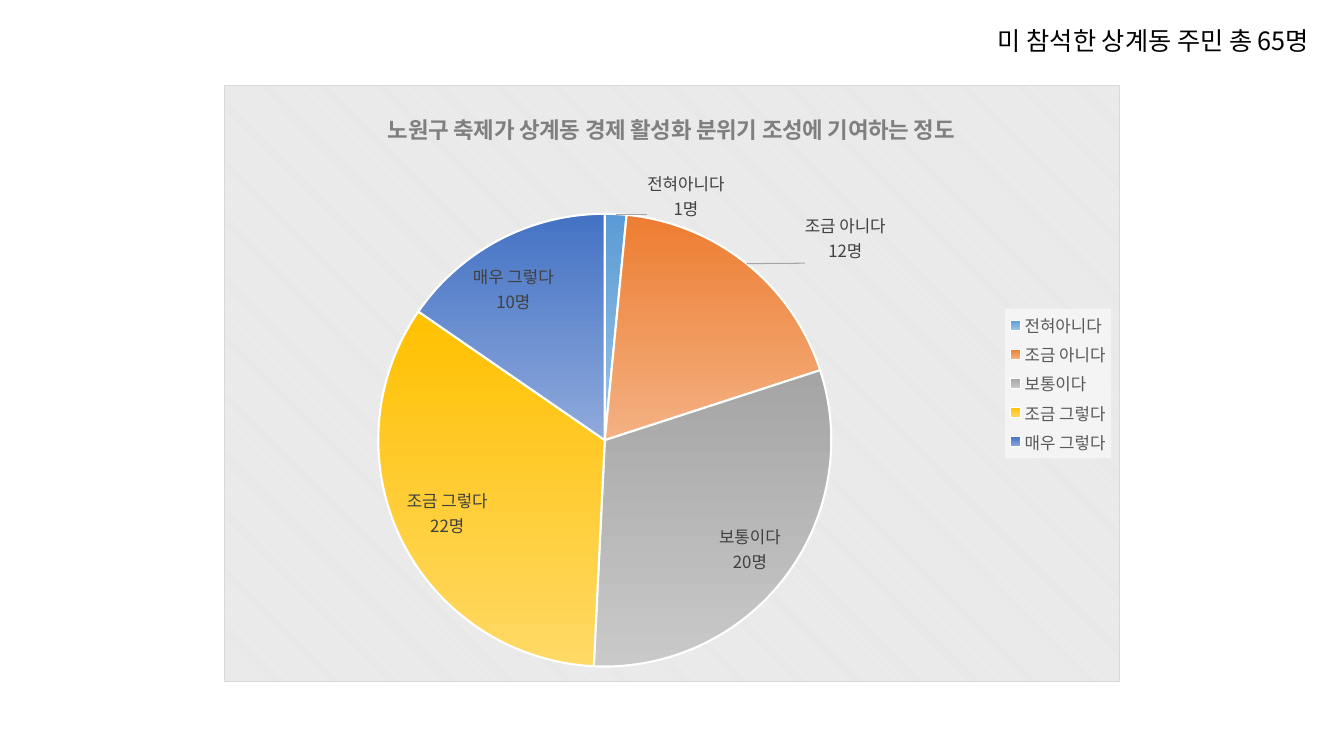
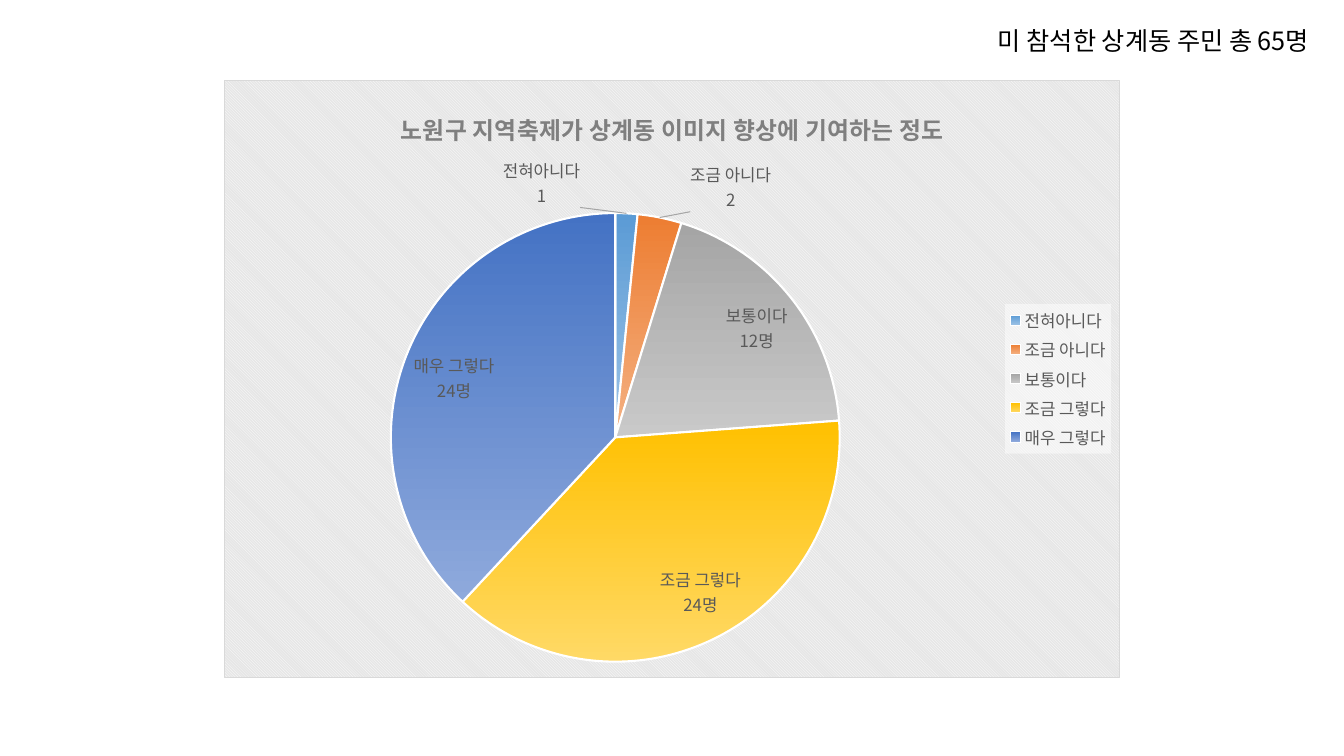
from pptx import Presentation
from pptx.chart.data import CategoryChartData
from pptx.dml.color import RGBColor
from pptx.enum.chart import XL_CHART_TYPE, XL_LABEL_POSITION, XL_LEGEND_POSITION
from pptx.enum.text import MSO_ANCHOR, MSO_AUTO_SIZE, PP_ALIGN
from pptx.oxml import parse_xml
from pptx.oxml.ns import nsdecls, qn
from pptx.util import Pt

FONT = "Noto Sans CJK KR"
NOTE = "미 참석한 상계동 주민 총 65명"
GRAY = "595959"
WIDE, HIGH = 640, 427
LEVELS = ["전혀아니다", "조금 아니다", "보통이다", "조금 그렇다", "매우 그렇다"]
SHADES = [
    ("5B9BD5", "9DC3E6"),
    ("ED7D31", "F4B183"),
    ("A5A5A5", "C9C9C9"),
    ("FFC000", "FFD966"),
    ("4472C4", "8FAADC"),
]
PAGES = [
    dict(
        head="노원구 축제가 상계동 경제 활성화 분위기 조성에 기여하는 정도",
        size=16, head_at=(114, 15), top=60.5, pie=(110, 92, 324),
        counts=[1, 12, 20, 22, 10], plain=(), ink="404040",
        shifts={0: (50, 9), 1: (39, 3)},
    ),
    dict(
        head="노원구 지역축제가 상계동 이미지 향상에 기여하는 정도",
        size=17, head_at=(123, 17), top=57, pie=(119, 95, 321),
        counts=[1, 2, 12, 24, 24], plain=(0, 1), ink=GRAY,
        shifts={0: (-61, 0), 1: (21, 0)},
    ),
]


def color(code):
    return RGBColor.from_string(code)


def style(font, size, ink, bold=False):
    font.name = FONT
    font.size = Pt(size)
    font.bold = bold
    font.color.rgb = color(ink)


def write(frame, text, align=None, **look):
    frame.text = text
    for line in frame.paragraphs:
        line.alignment = align
        for run in line.runs:
            style(run.font, **look)


def asian(root):
    for latin in list(root.iter(qn("a:latin"))):
        latin.addnext(parse_xml(f'<a:ea {nsdecls("a")} typeface="{FONT}"/>'))


def paint(tag, body):
    return parse_xml(f'<c:{tag} {nsdecls("c", "a")}>{body}</c:{tag}>')


def solid(code, inner=""):
    return f'<a:solidFill><a:srgbClr val="{code}">{inner}</a:srgbClr></a:solidFill>'


def outline(code):
    return f'<a:ln w="{Pt(0.75)}">{solid(code)}</a:ln>'


def layout(node, index, spot, size=None, edge=True):
    for old in node.findall(qn("c:layout")):
        node.remove(old)
    parts = []
    if size:
        parts.append('<c:layoutTarget val="inner"/>')
    if edge:
        parts.append('<c:xMode val="edge"/><c:yMode val="edge"/>')
    for names, pair in (("xy", spot), ("wh", size)):
        if pair:
            for name, length, whole in zip(names, pair, (WIDE, HIGH)):
                parts.append(f'<c:{name} val="{length / whole:.4f}"/>')
    body = "<c:manualLayout>" + "".join(parts) + "</c:manualLayout>"
    node.insert(index, paint("layout", body))


def add_note(slide, left, top, width, height):
    box = slide.shapes.title
    box.left, box.top, box.width, box.height = map(Pt, (left, top, width, height))
    frame = box.text_frame
    frame.auto_size = MSO_AUTO_SIZE.NONE
    frame.word_wrap = False
    frame.vertical_anchor = MSO_ANCHOR.TOP
    write(frame, NOTE, align=PP_ALIGN.LEFT, size=18, ink="000000")
    asian(box.element)


def add_labels(series, root, page):
    labels = series.data_labels
    labels.show_value = True
    labels.show_category_name = True
    labels.position = XL_LABEL_POSITION.BEST_FIT
    style(labels.font, 12, page["ink"])
    for i, (level, count) in enumerate(zip(LEVELS, page["counts"])):
        label = series.points[i].data_label
        if i in page["plain"]:
            style(label.font, 12, page["ink"])
        else:
            write(label.text_frame, f"{level}\n{count}명", size=12, ink=page["ink"])
        moved = i in page["shifts"]
        label.position = (
            XL_LABEL_POSITION.OUTSIDE_END if moved else XL_LABEL_POSITION.BEST_FIT
        )
    for i, node in enumerate(root.xpath(".//c:ser/c:dLbls/c:dLbl")):
        node.find(qn("c:showCatName")).set("val", "1")
        node.append(paint("separator", "\n"))
        if i in page["shifts"]:
            layout(node, 1, page["shifts"][i], edge=False)
    group = root.xpath(".//c:ser/c:dLbls")[0]
    for lead in group.findall(qn("c:showLeaderLines")):
        group.remove(lead)
    group.append(paint("separator", "\n"))
    group.append(parse_xml(f'<c:showLeaderLines {nsdecls("c")} val="1"/>'))
    group.append(paint("leaderLines", f'<c:spPr>{outline("A6A6A6")}</c:spPr>'))


def add_pie(slide, left, top, page):
    data = CategoryChartData()
    data.categories = LEVELS
    data.add_series("Series 1", page["counts"])
    box = slide.shapes.add_chart(
        XL_CHART_TYPE.PIE, *map(Pt, (left, top, WIDE, HIGH)), data
    )
    chart = box.chart
    root = chart.element
    style(chart.font, 10, "000000")
    chart.has_title = True
    write(chart.chart_title.text_frame, page["head"],
          size=page["size"], ink="7F7F7F", bold=True)
    chart.has_legend = True
    legend = chart.legend
    legend.position = XL_LEGEND_POSITION.RIGHT
    legend.include_in_layout = False
    style(legend.font, 12, GRAY)
    plot = chart.plots[0]
    plot.vary_by_categories = True
    series = plot.series[0]
    for i, shades in enumerate(SHADES):
        form = series.points[i].format
        form.fill.gradient()
        form.fill.gradient_angle = 270
        for stop, shade in zip(form.fill.gradient_stops, shades):
            stop.color.rgb = color(shade)
        form.line.color.rgb = color("FFFFFF")
        form.line.width = Pt(1.5)
    add_labels(series, root, page)
    x, y, size = page["pie"]
    layout(root.xpath(".//c:plotArea")[0], 0, (x, y), (size, size))
    layout(root.xpath("c:chart/c:title")[0], 1, page["head_at"])
    veil = solid("FFFFFF", '<a:alpha val="50000"/>')
    root.xpath(".//c:legend/c:overlay")[0].addnext(paint("spPr", veil))
    back = (
        '<a:pattFill prst="dkDnDiag"><a:fgClr><a:srgbClr val="FFFFFF"/></a:fgClr>'
        '<a:bgClr><a:srgbClr val="E6E6E6"/></a:bgClr></a:pattFill>'
    )
    root.find(qn("c:chart")).addnext(paint("spPr", back + outline("D9D9D9")))
    asian(root)


def main():
    deck = Presentation()
    deck.slide_width, deck.slide_height = Pt(960), Pt(540)
    for page in PAGES:
        slide = deck.slides.add_slide(deck.slide_layouts[5])
        add_pie(slide, 160, page["top"], page)
        add_note(slide, 705.6, 14.4, 252, 28.8)
    deck.save("out.pptx")


if __name__ == "__main__":
    main()
